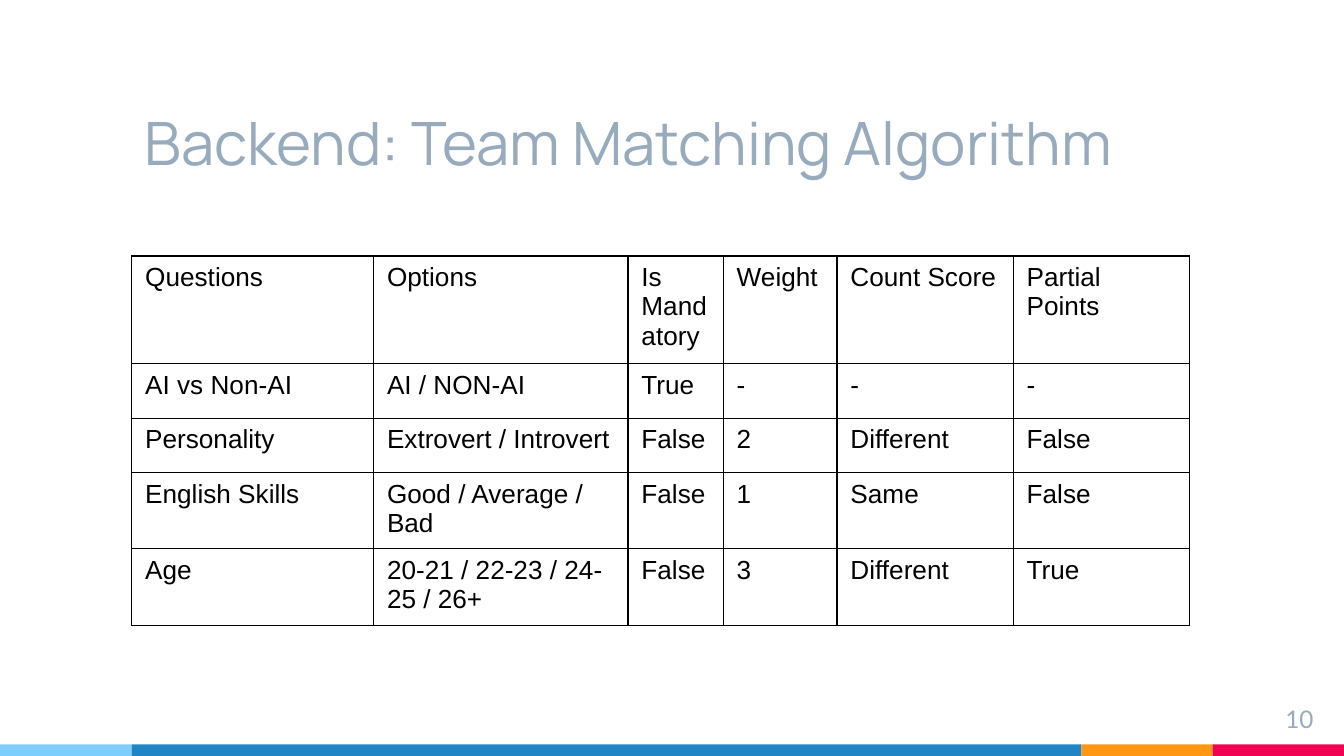
"""Build the team matching algorithm slide with its question table."""
from itertools import pairwise

from lxml import etree
from pptx import Presentation
from pptx import util as u
from pptx.dml.color import RGBColor
from pptx.enum import shapes, text
from pptx.oxml.ns import qn

COLORS = {
    "sky": "7ECEFD",
    "blue": "2185C5",
    "orange": "FF9715",
    "red": "F20253",
    "slate": "97ABBC",
    "black": "000000",
}


def style_font(font, name, size, color):
    font.name = name
    font.size = u.Pt(size)
    font.color.rgb = RGBColor.from_string(COLORS[color])


def add_label(page, wording, bounds, anchor, align, font_style):
    box = page.shapes.add_textbox(*[u.Cm(length) for length in bounds])
    frame = box.text_frame
    frame.word_wrap = True
    frame.vertical_anchor = anchor
    frame.margin_left = frame.margin_right = u.Cm(0.25)
    frame.margin_top = frame.margin_bottom = u.Cm(0.25)
    para = frame.paragraphs[0]
    para.text = wording
    para.alignment = align
    style_font(para.font, *font_style)


deck = Presentation()
deck.slide_width = u.Cm(25.4)
deck.slide_height = u.Cm(14.29)
page = deck.slides.add_slide(deck.slide_layouts[6])

band_edges = [0, 2.49, 20.44, 22.92, 25.4]
for (left, right), color in zip(pairwise(band_edges), ["sky", "blue", "orange", "red"]):
    band = page.shapes.add_shape(
        shapes.MSO_SHAPE.RECTANGLE, u.Cm(left), u.Cm(14.07), u.Cm(right - left), u.Cm(0.22)
    )
    band.shadow.inherit = False
    band.fill.solid()
    band.fill.fore_color.rgb = RGBColor.from_string(COLORS[color])
    band.line.fill.background()

add_label(page, "Backend: Team Matching Algorithm", (2.49, 1.22, 20.68, 2.39),
          text.MSO_ANCHOR.BOTTOM, text.PP_ALIGN.LEFT, ("Manrope", 32, "slate"))
add_label(page, "10", (23.55, 13.06, 1.52, 0.86),
          text.MSO_ANCHOR.TOP, text.PP_ALIGN.RIGHT, ("Lato", 13, "slate"))

rows = [
    ["Questions", "Options", "Is Mandatory", "Weight", "Count Score", "Partial Points"],
    ["AI vs Non-AI", "AI / NON-AI", "True", "-", "-", "-"],
    ["Personality", "Extrovert / Introvert", "False", "2", "Different", "False"],
    ["English Skills", "Good / Average / Bad", "False", "1", "Same", "False"],
    ["Age", "20-21 / 22-23 / 24-25 / 26+", "False", "3", "Different", "True"],
]
column_widths = [4.57, 4.81, 1.8, 2.15, 3.33, 3.33]
row_height = 1.03
table = page.shapes.add_table(
    len(rows), len(column_widths), u.Cm(2.49), u.Cm(4.84),
    u.Cm(sum(column_widths)), u.Cm(row_height * len(rows)),
).table
table.first_row = False
table.horz_banding = False
for column, width in zip(table.columns, column_widths):
    column.width = u.Cm(width)

for row, wordings in zip(table.rows, rows):
    row.height = u.Cm(row_height)
    for cell, wording in zip(row.cells, wordings):
        cell.text = wording
        style_font(cell.text_frame.paragraphs[0].font, "Arial", 14, "black")
        properties = cell._tc.get_or_add_tcPr()
        for side in ["lnL", "lnR", "lnT", "lnB"]:
            border = etree.SubElement(properties, qn(f"a:{side}"), w=str(u.Pt(0.75)))
            fill = etree.SubElement(border, qn("a:solidFill"))
            etree.SubElement(fill, qn("a:srgbClr"), val=COLORS["black"])
        cell.fill.background()

deck.save("out.pptx")
